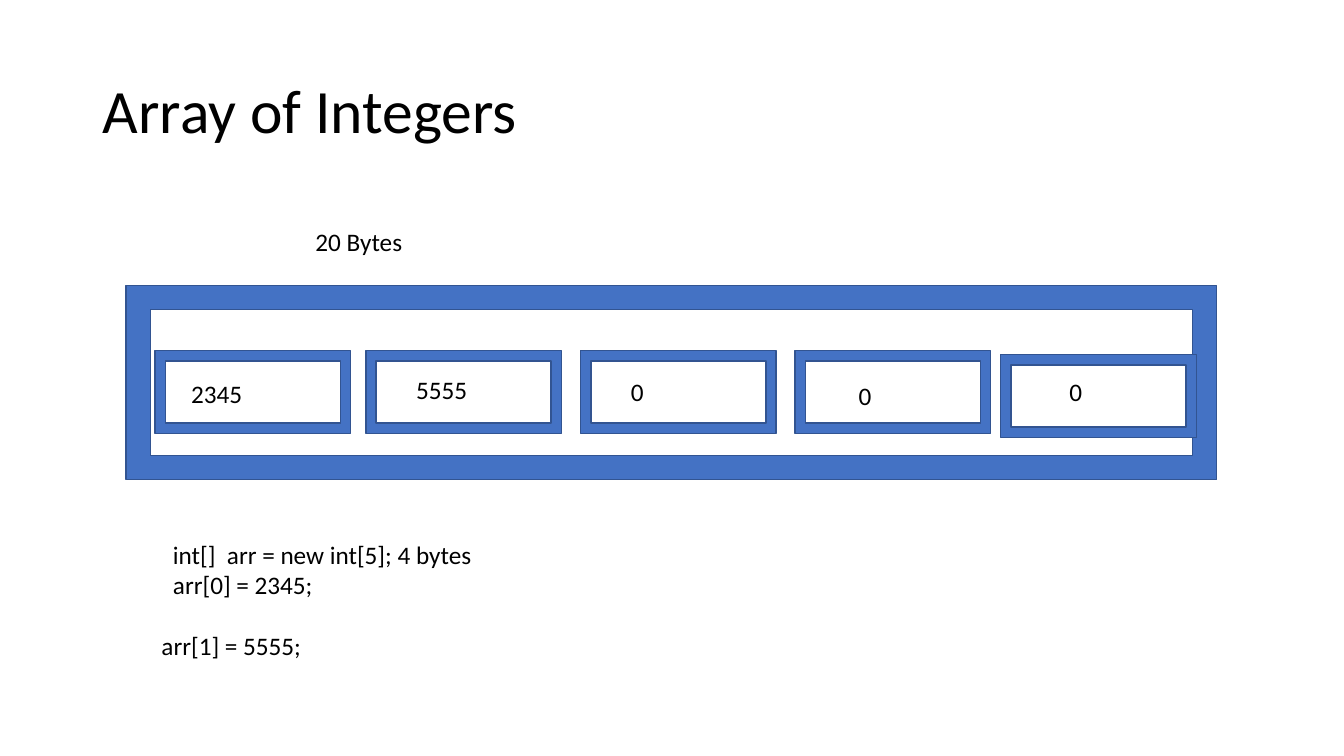
import pptx
import pptx.dml.color
import pptx.enum.shapes
import pptx.enum.text
import pptx.util

Cm = pptx.util.Cm
Pt = pptx.util.Pt

COLOURS = {"frame": "4472C4", "outline": "325491", "text": "000000"}
FONT = "Calibri"
CELL_WIDTH, CELL_HEIGHT = 4.93, 2.08
VALUE_WIDTH, LINE_HEIGHT = 3.71, 1.02

# Cell left and top, value, value left and top (cm)
CELLS = [
    (3.91, 8.84, "2345", 4.57, 9.42),
    (9.22, 8.84, "5555", 10.24, 9.3),
    (14.63, 8.84, "0", 15.65, 9.37),
    (20.04, 8.84, "0", 21.39, 9.45),
    (25.22, 8.94, "0", 26.7, 9.37),
]

# Statement, left indent (cm), space before (pt)
STATEMENTS = [
    ("int[]  arr = new int[5]; 4 bytes", 0.43, 0),
    ("arr[0] = 2345;", 0.43, 0),
    ("arr[1] = 5555;", 0.14, 22),
]


def colour(name):
    return pptx.dml.color.RGBColor.from_string(COLOURS[name])


def add_frame(page, left, top, width, height):
    frame = page.shapes.add_shape(
        pptx.enum.shapes.MSO_SHAPE.FRAME, Cm(left), Cm(top), Cm(width), Cm(height))
    frame.shadow.inherit = False
    frame.fill.solid()
    frame.fill.fore_color.rgb = colour("frame")
    frame.line.color.rgb = colour("outline")
    frame.line.width = Pt(1)


def add_box(page, left, top, width, height):
    box = page.shapes.add_textbox(Cm(left), Cm(top), Cm(width), Cm(height))
    box.text_frame.word_wrap = True
    return box.text_frame


def write(para, text, size=18):
    para.text = text
    para.font.name = FONT
    para.font.size = Pt(size)
    para.font.color.rgb = colour("text")


def add_label(page, text, left, top, width):
    write(add_box(page, left, top, width, LINE_HEIGHT).paragraphs[0], text)


def add_title(page, text):
    frame = add_box(page, 2.34, 1.02, 29.21, 3.68)
    frame.vertical_anchor = pptx.enum.text.MSO_ANCHOR.MIDDLE
    para = frame.paragraphs[0]
    write(para, text, 44)
    para.line_spacing = 0.9


def add_code(page):
    frame = add_box(page, 3.68, 13.46, 17.86, 3.33)
    for number, (text, indent, space) in enumerate(STATEMENTS):
        para = frame.add_paragraph() if number else frame.paragraphs[0]
        write(para, text)
        para.space_before = Pt(space)
        para._p.get_or_add_pPr().set("marL", str(Cm(indent)))


def main():
    deck = pptx.Presentation()
    deck.slide_width, deck.slide_height = Cm(33.87), Cm(19.05)
    page = deck.slides.add_slide(deck.slide_layouts[6])

    add_title(page, "Array of Integers")
    add_label(page, "20 Bytes", 7.7, 5.59, 16.71)
    add_frame(page, 3.18, 7.19, 27.48, 4.9)
    for left, top, value, value_left, value_top in CELLS:
        add_frame(page, left, top, CELL_WIDTH, CELL_HEIGHT)
        add_label(page, value, value_left, value_top, VALUE_WIDTH)
    add_code(page)

    deck.save("out.pptx")


if __name__ == "__main__":
    main()
